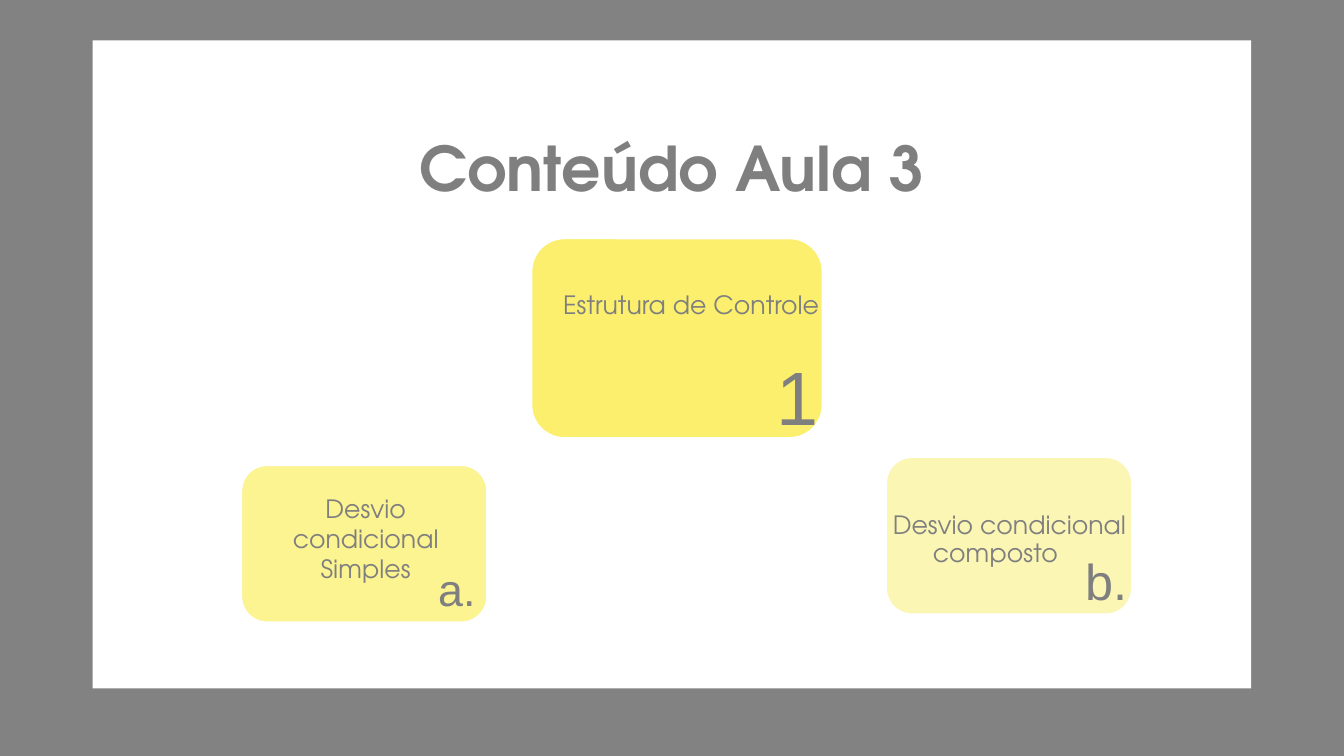
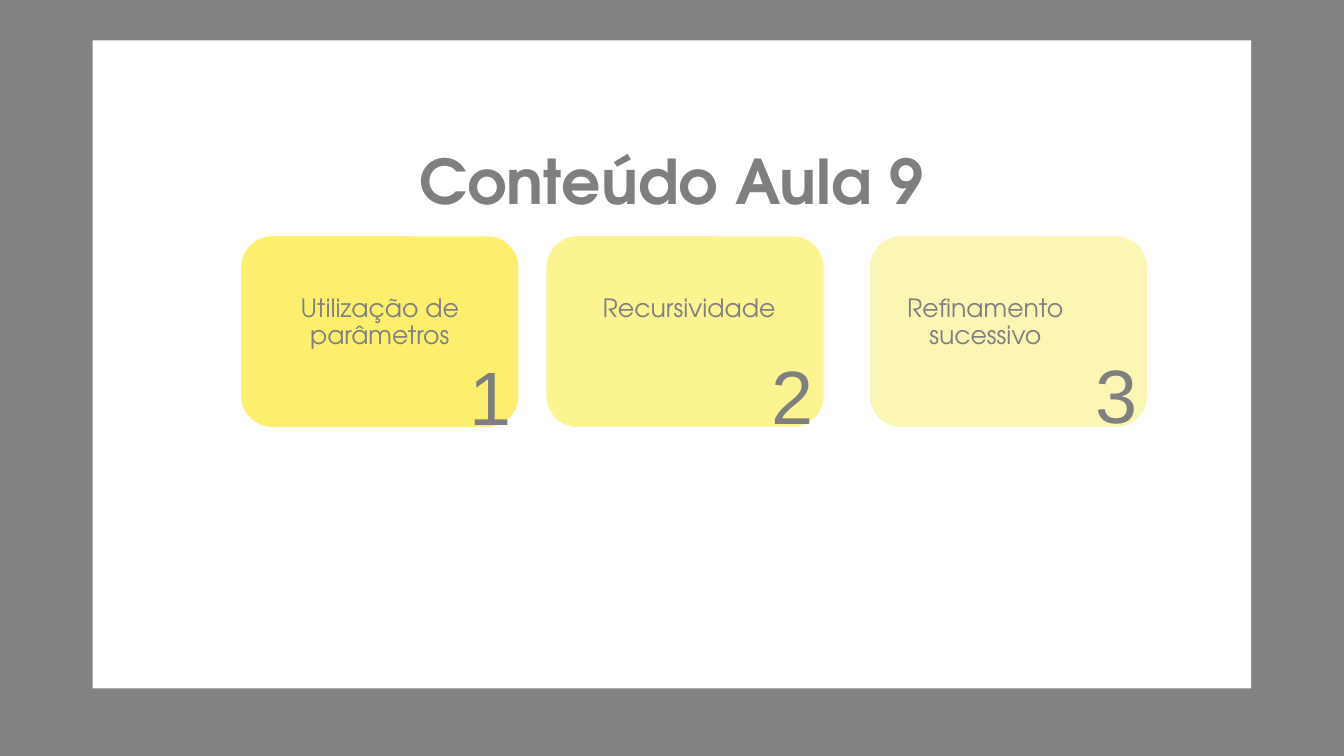
from dataclasses import dataclass

from lxml import etree
from pptx import Presentation
from pptx.dml.color import RGBColor
from pptx.enum import shapes, text
from pptx.oxml import ns
from pptx.util import Emu, Pt

PX = 9144
SLIDE_WIDTH, SLIDE_HEIGHT = 1334, 750
PANEL = (92, 40, 1150, 643)
TITLE_LEFT, TITLE_WIDTH, TITLE_HEIGHT = 142, 1050, 143
BLACK = RGBColor(0x00, 0x00, 0x00)
WHITE = RGBColor(0xFF, 0xFF, 0xFF)
GRAY = RGBColor(0x7F, 0x7F, 0x7F)
YELLOW = RGBColor(0xFB, 0xEF, 0x6D)
HEADING_FONT = "TeX Gyre Adventor"
NUMBER_FONT = "Arial"
PLAIN_MARGINS = (10, 5, 10, 5)
LABEL_MARGINS = (14, 14, 14, 0)


@dataclass
class Card:
    box: tuple
    opacity: int
    label: str
    label_box: tuple
    number: str
    number_box: tuple
    number_size: int = 54
    label_margins: tuple = LABEL_MARGINS
    line_spacing: float = 0.9
    indent: int = 0


def px(value):
    return Emu(value * PX)


def place(box):
    return [px(value) for value in box]


def write_text(shape, content, size=18, font=HEADING_FONT, bold=False,
               margins=PLAIN_MARGINS, anchor=text.MSO_ANCHOR.TOP,
               line_spacing=1.0, indent=0):
    frame = shape.text_frame
    frame.word_wrap = True
    frame.auto_size = text.MSO_AUTO_SIZE.NONE
    frame.vertical_anchor = anchor
    (frame.margin_left, frame.margin_top,
     frame.margin_right, frame.margin_bottom) = place(margins)
    paragraph = frame.paragraphs[0]
    paragraph.alignment = text.PP_ALIGN.CENTER
    paragraph.line_spacing = line_spacing
    run = paragraph.add_run()
    run.text = content
    run.font.size = Pt(size)
    run.font.name = font
    run.font.bold = bold
    run.font.color.rgb = GRAY
    if indent:
        properties = paragraph._p.get_or_add_pPr()
        properties.set("marL", "0")
        properties.set("indent", str(px(indent)))


def add_text(slide, box, content, **formatting):
    write_text(slide.shapes.add_textbox(*place(box)), content, **formatting)


def add_block(slide, box, color, opacity=100, preset=shapes.MSO_SHAPE.RECTANGLE):
    shape = slide.shapes.add_shape(preset, *place(box))
    shape.shadow.inherit = False
    shape.fill.solid()
    shape.fill.fore_color.rgb = color
    shape.line.fill.background()
    if opacity < 100:
        color_element = shape.element.spPr.find(".//" + ns.qn("a:srgbClr"))
        alpha = etree.SubElement(color_element, ns.qn("a:alpha"))
        alpha.set("val", str(opacity * 1000))
    return shape


def move_frame_to_layout(slide):
    backdrop = add_block(slide, (0, 0, SLIDE_WIDTH, SLIDE_HEIGHT), BLACK, 49)
    panel = add_block(slide, PANEL, WHITE)
    layout_tree = slide.slide_layout.shapes.element
    for position, shape in enumerate((backdrop, panel), start=2):
        layout_tree.insert(position, shape.element)


def add_card(slide, card):
    left, top, _, _ = card.box

    def inside(box):
        return (left + box[0], top + box[1], *box[2:])

    shape = add_block(slide, card.box, YELLOW, card.opacity,
                      shapes.MSO_SHAPE.ROUNDED_RECTANGLE)
    shape.line.color.rgb = WHITE
    shape.line.width = Pt(2)
    add_text(slide, inside(card.label_box), card.label,
             margins=card.label_margins, line_spacing=card.line_spacing,
             indent=card.indent)
    add_text(slide, inside(card.number_box), card.number,
             size=card.number_size, font=NUMBER_FONT)


def add_content_slide(presentation, title, title_top, cards):
    slide = presentation.slides.add_slide(presentation.slide_layouts[5])
    heading = slide.shapes.title
    heading.left, heading.top, heading.width, heading.height = place(
        (TITLE_LEFT, title_top, TITLE_WIDTH, TITLE_HEIGHT))
    write_text(heading, title, size=44, bold=True,
               anchor=text.MSO_ANCHOR.MIDDLE)
    for card in cards:
        add_card(slide, card)
    return slide


def control_cards():
    return [
        Card((527, 236, 290, 199), 100, "Estrutura de Controle",
             (14, 40, 290, 107), "1", (218, 106, 93, 101)),
        Card((239, 461, 245, 157), 75, "Desvio condicional Simples",
             (4, 23, 240, 71), "a.", (171, 91, 87, 64), number_size=32,
             label_margins=PLAIN_MARGINS, line_spacing=1.0),
        Card((879, 453, 245, 157), 50, "Desvio condicional composto",
             (-36, 42, 290, 92), "b.", (163, 88, 112, 71), number_size=36,
             indent=28),
    ]


def function_cards():
    rows = [
        (238, 100, "Utilização de parâmetros", 0, (193, 109)),
        (541, 75, "Recursividade", 4, (190, 108)),
        (862, 50, "Refinamento sucessivo", -23, (190, 107)),
    ]
    return [
        Card((left, 233, 278, 192), opacity, label, (label_left, 46, 278, 88),
             str(number), (*number_corner, 112, 101))
        for number, (left, opacity, label, label_left, number_corner)
        in enumerate(rows, start=1)
    ]


def main():
    presentation = Presentation()
    presentation.slide_width = px(SLIDE_WIDTH)
    presentation.slide_height = px(SLIDE_HEIGHT)
    first_slide = add_content_slide(
        presentation, "Conteúdo Aula 3", 94, control_cards())
    move_frame_to_layout(first_slide)
    add_content_slide(presentation, "Conteúdo Aula 9", 107, function_cards())
    presentation.save("out.pptx")


if __name__ == "__main__":
    main()
